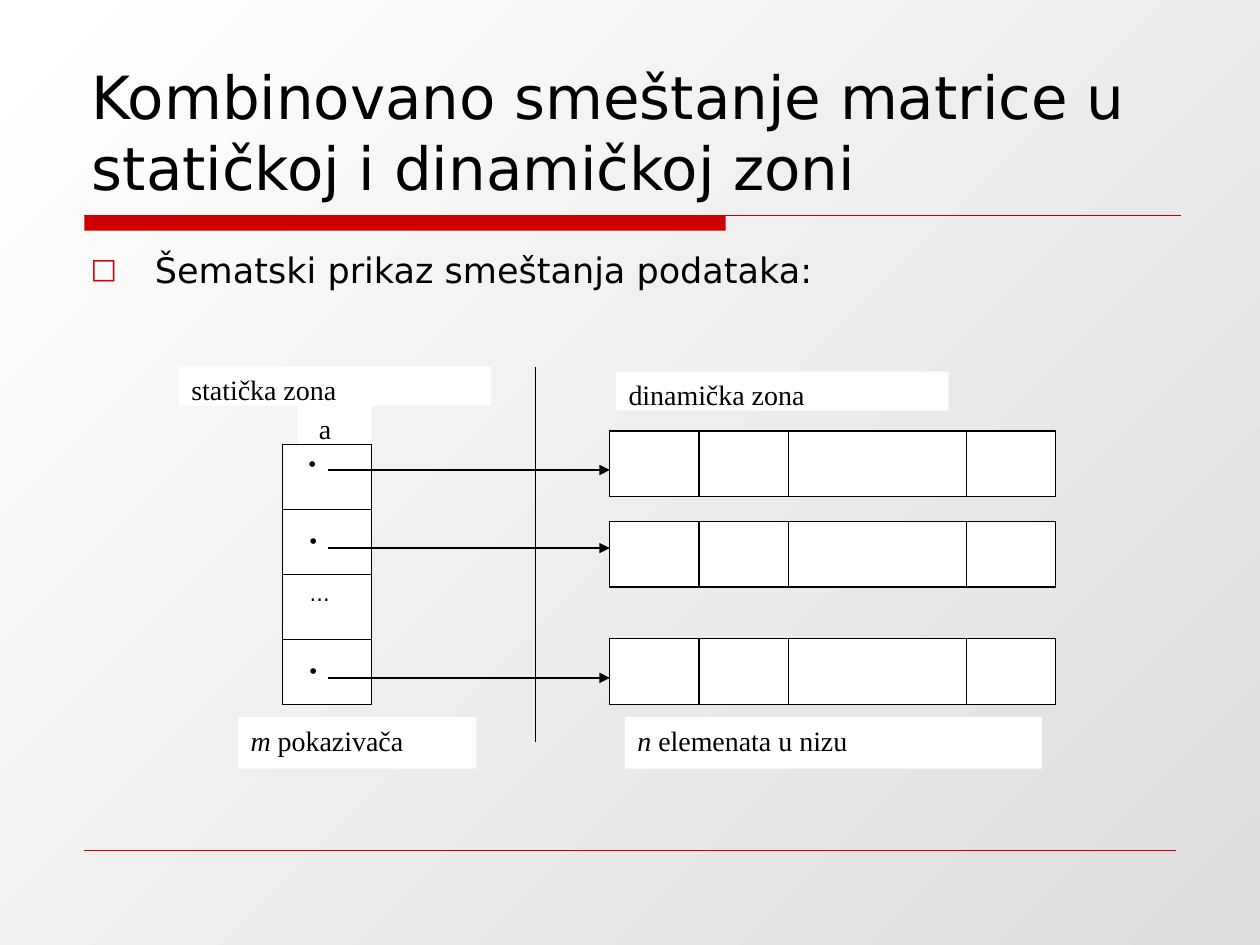
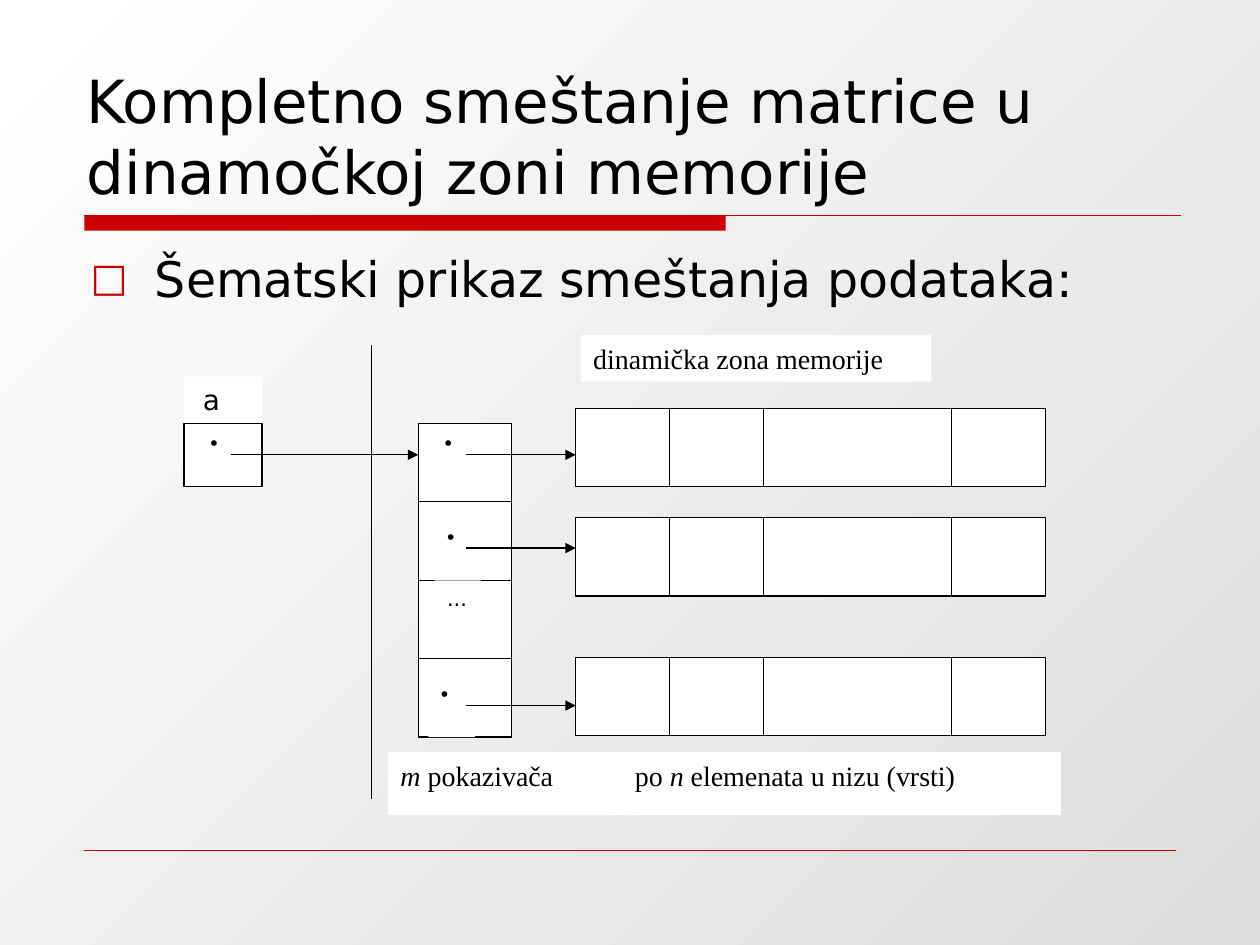
import pptx
import pptx.util
import pptx.dml.color
import pptx.enum.shapes
import pptx.enum.text
import pptx.oxml.ns
import lxml.etree

Inches = pptx.util.Inches
Pt = pptx.util.Pt
RGBColor = pptx.dml.color.RGBColor
ANCHOR = pptx.enum.text.MSO_ANCHOR
qn = pptx.oxml.ns.qn

BLACK = RGBColor(0x00, 0x00, 0x00)
WHITE = RGBColor(0xFF, 0xFF, 0xFF)
GREY = RGBColor(0xDD, 0xDD, 0xDD)
RED = RGBColor(0xCC, 0x00, 0x00)
SANS = "DejaVu Sans"
SERIF = "Times New Roman"


def add_text(s, text, at, sp=None, size=16, font=SERIF, fill=WHITE, edge=False, indent=0, anchor=ANCHOR.TOP):
    x, y, w, h = [Inches(v) for v in at]
    if sp is None:
        sp = s.shapes.add_shape(pptx.enum.shapes.MSO_SHAPE.RECTANGLE, x, y, w, h)
        sp.shadow.inherit = False
        sp.fill.solid()
        sp.fill.fore_color.rgb = fill
        if edge:
            sp.line.color.rgb = BLACK
            sp.line.width = Pt(0.75)
        else:
            sp.line.fill.background()
    else:
        sp.left, sp.top, sp.width, sp.height = x, y, w, h
    tf = sp.text_frame
    tf.word_wrap = True
    tf.auto_size = pptx.enum.text.MSO_AUTO_SIZE.NONE
    tf.vertical_anchor = anchor
    tf.margin_left = Inches(0.1 + indent)
    p = tf.paragraphs[0]
    p.alignment = pptx.enum.text.PP_ALIGN.LEFT
    p.space_before = Pt(0)
    for i, part in enumerate(text.split("*")):
        if part:
            r = p.add_run()
            r.text = part
            r.font.size = Pt(size)
            r.font.name = font
            r.font.color.rgb = BLACK
            r.font.italic = i % 2 == 1
    return p


def add_line(s, x1, y1, x2, y2, color=BLACK, width=0.75, arrow=False):
    kind = pptx.enum.shapes.MSO_CONNECTOR.STRAIGHT
    c = s.shapes.add_connector(kind, Inches(x1), Inches(y1), Inches(x2), Inches(y2))
    c.line.color.rgb = color
    c.line.width = Pt(width)
    if arrow:
        ln = c.line._get_or_add_ln()
        lxml.etree.SubElement(ln, qn("a:tailEnd"), type="triangle")
    lxml.etree.SubElement(c._element.spPr, qn("a:effectLst"))


SLIDES = [
    dict(
        title="Kombinovano smeštanje matrice u statičkoj i dinamičkoj zoni",
        title_at=(0.63, 0.33, 8.75, 1.33),
        body_size=20,
        zone_line=(4.25, 2.91, 4.25, 5.89),
        labels=[
            ("statička zona", (1.42, 2.91, 2.48, 0.31), {}),
            ("dinamička zona", (4.89, 2.95, 2.64, 0.31), {}),
            ("a", (2.36, 3.22, 0.59, 0.31), dict(indent=0.07)),
            ("*m* pokazivača", (1.89, 5.69, 1.89, 0.41), {}),
            ("*n* elemenata u nizu", (4.96, 5.69, 3.31, 0.41), {}),
        ],
        pointers=(2.24, 3.53, 0.71, 2.06),
        ellipsis=(2.36, 4.56, 0.47, 0.41),
        dots=[(2.36, 4.14, 0.35, 0.41), (2.36, 5.17, 0.35, 0.41)],
        row_tops=[3.42, 4.14, 5.07],
        row_size=(4.84, 3.54, 0.52),
        arrow_from=2.6,
        arrow_ys=[3.73, 4.35, 5.38],
    ),
    dict(
        title="Kompletno smeštanje matrice u dinamočkoj zoni memorije",
        title_at=(0.59, 0.36, 8.75, 1.33),
        body_size=28,
        zone_line=(2.95, 2.74, 2.95, 6.34),
        labels=[
            ("dinamička zona memorije", (4.61, 2.66, 2.78, 0.37), {}),
            ("a", (1.46, 2.99, 0.62, 0.37), dict(font=SANS, indent=0.05)),
            ("*m* pokazivača", (3.08, 5.97, 1.99, 0.5), {}),
            ("po *n* elemenata u nizu (vrsti)", (4.94, 5.97, 3.48, 0.5), {}),
        ],
        pointers=(3.32, 3.36, 0.74, 2.49),
        ellipsis=(3.45, 4.6, 0.5, 0.5),
        dots=[(3.45, 4.11, 0.37, 0.5), (3.4, 5.35, 0.37, 0.5)],
        row_tops=[3.24, 4.11, 5.22],
        row_size=(4.57, 3.73, 0.62),
        arrow_from=3.7,
        arrow_ys=[3.61, 4.35, 5.6],
    ),
]

prs = pptx.Presentation()
prs.slide_width = Inches(10)
prs.slide_height = Inches(7.5)

bg = prs.slide_master.background.fill
bg.gradient()
bg.gradient_angle = 315
for stop, color in zip(bg.gradient_stops, (WHITE, GREY)):
    stop.color.rgb = color

for d in SLIDES:
    s = prs.slides.add_slide(prs.slide_layouts[1])
    add_text(s, d["title"], d["title_at"], sp=s.shapes.title, size=34, font=SANS, anchor=ANCHOR.BOTTOM)
    p = add_text(s, "Šematski prikaz smeštanja podataka:", (0.62, 1.92, 8.75, 4.67),
                 sp=s.placeholders[1], size=d["body_size"], font=SANS)
    pPr = p._p.get_or_add_pPr()
    pPr.set("marL", str(Inches(0.51)))
    pPr.set("indent", str(-Inches(0.51)))
    bu = lxml.etree.SubElement(pPr, qn("a:buClr"))
    lxml.etree.SubElement(bu, qn("a:srgbClr"), val=str(RED))
    lxml.etree.SubElement(pPr, qn("a:buSzPct"), val="80000")
    lxml.etree.SubElement(pPr, qn("a:buFont"), typeface=SANS)
    lxml.etree.SubElement(pPr, qn("a:buChar"), char="□")

    add_text(s, "", (0.67, 1.71, 5.09, 0.12), fill=RED)
    add_line(s, 0.67, 1.71, 9.37, 1.71, color=RED)
    add_line(s, 0.67, 6.75, 9.33, 6.75, color=RED, width=0.25)

    add_line(s, *d["zone_line"])
    for text, at, fmt in d["labels"]:
        add_text(s, text, at, **fmt)

    x, y, w, h = d["pointers"]
    add_text(s, "•", d["pointers"], size=12, font="Arial", edge=True, indent=0.11)
    add_text(s, "...", d["ellipsis"], size=12, font=SANS)
    for i in (1, 2, 3):
        add_line(s, x, y + i * h / 4, x + w, y + i * h / 4)
    for at in d["dots"]:
        add_text(s, "•", at, size=12, font="Arial")

    row_x, row_w, row_h = d["row_size"]
    for top, arrow_y in zip(d["row_tops"], d["arrow_ys"]):
        add_text(s, "", (row_x, top, row_w, row_h), edge=True)
        for i in (1, 2, 4):
            cell_x = row_x + i * row_w / 5
            add_line(s, cell_x, top, cell_x, top + row_h)
        add_line(s, d["arrow_from"], arrow_y, row_x, arrow_y, arrow=True)

add_text(s, "•", (1.46, 3.36, 0.62, 0.5), size=12, font="Arial", edge=True, indent=0.11)
add_line(s, 1.83, 3.61, 3.32, 3.61, arrow=True)

prs.save("out.pptx")
